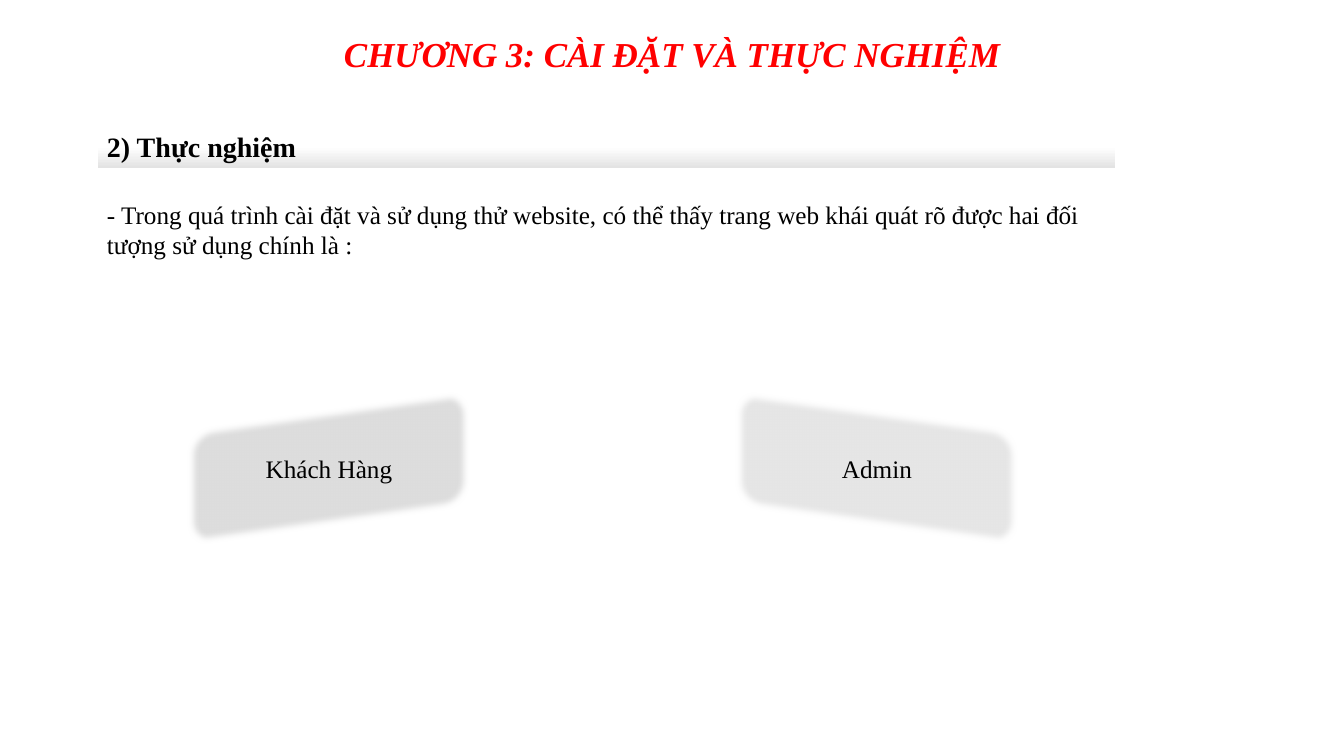
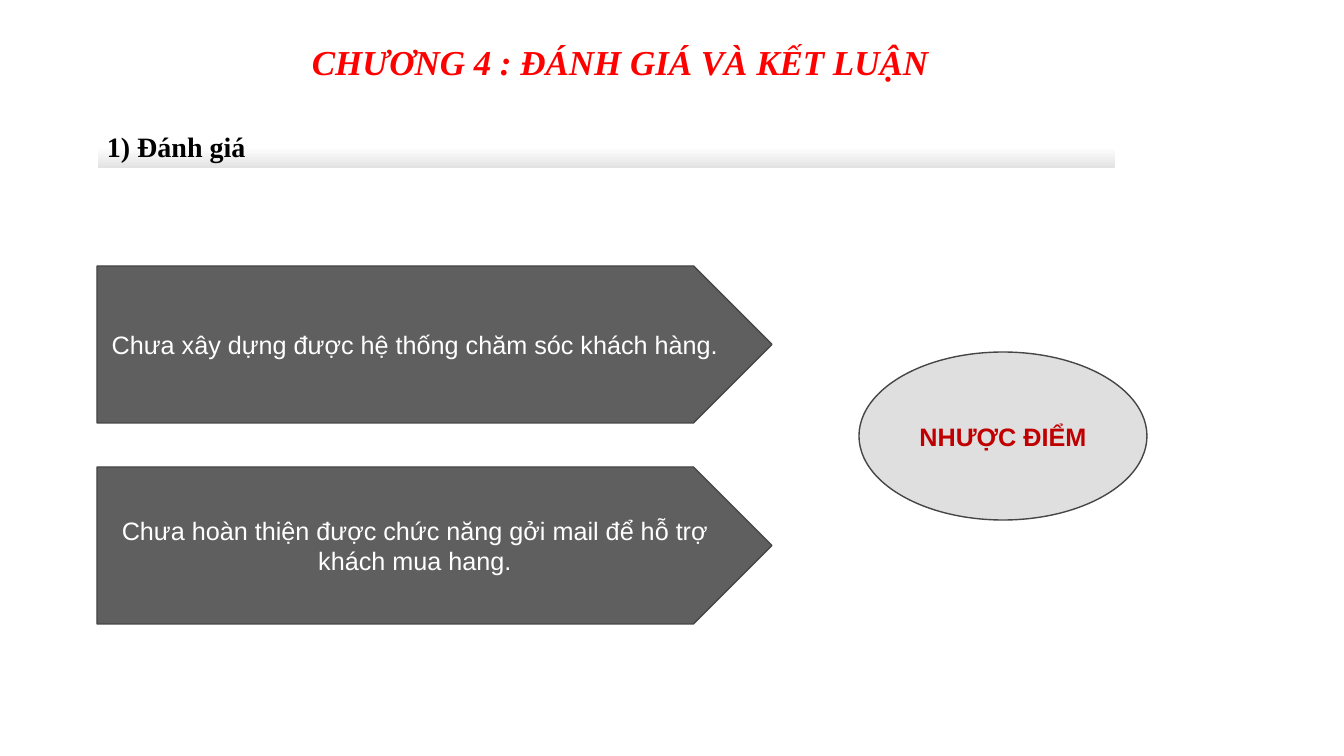
import math

from lxml import etree
from pptx import Presentation
from pptx import util as u
from pptx.dml.color import RGBColor
from pptx.enum import shapes, text
from pptx.oxml import ns

SLIDE_WIDTH, SLIDE_HEIGHT = 1344, 756
EMU_PER_PX = 12192000 / SLIDE_WIDTH
SERIF, SANS = "Times New Roman", "Arial"
WHITE, BLACK, RED, DARK_RED = "FFFFFF", "000000", "FF0000", "C00000"
OUTLINE, ARROW_FILL, ELLIPSE_FILL, BAND_END = "464646", "5F5F5F", "DFDFDF", "E3E3E3"

HEADING_BOX = (97, 125, 1018, 43)
CENTER, LEFT = text.PP_ALIGN.CENTER, text.PP_ALIGN.LEFT
TOP, MIDDLE = text.MSO_ANCHOR.TOP, text.MSO_ANCHOR.MIDDLE


def px(length):
    return u.Emu(round(length * EMU_PER_PX))


def color(value):
    return RGBColor.from_string(value)


def write(shape, words, size=18, font=SERIF, ink=BLACK, bold=False, italic=False,
          align=CENTER, anchor=MIDDLE):
    frame = shape.text_frame
    frame.text = words
    frame.word_wrap = True
    frame.vertical_anchor = anchor
    para = frame.paragraphs[0]
    para.alignment = align
    style = para.runs[0].font
    style.name, style.size = font, u.Pt(size)
    style.bold, style.italic = bold, italic
    style.color.rgb = color(ink)


def add_text(page, box, words, **style):
    write(page.shapes.add_textbox(*map(px, box)), words, **style)


def add_figure(page, kind, box, fill, words, **style):
    figure = page.shapes.add_shape(kind, *map(px, box))
    figure.shadow.inherit = False
    figure.fill.solid()
    figure.fill.fore_color.rgb = color(fill)
    figure.line.color.rgb = color(OUTLINE)
    figure.line.width = u.Pt(1)
    write(figure, words, **style)


def add_title(page, box, words):
    add_text(page, box, words, size=25, ink=RED, bold=True, italic=True)


def add_heading(page, box, words):
    """Section heading on a band that fades from white to grey."""
    band = page.shapes.add_shape(shapes.MSO_SHAPE.RECTANGLE, *map(px, box))
    band.shadow.inherit = False
    band.fill.gradient()
    band.fill.gradient_angle = 270
    for stop, position, shade in zip(band.fill.gradient_stops, (0.5, 1), (WHITE, BAND_END)):
        stop.position = position
        stop.color.rgb = color(shade)
    band.line.color.rgb = color(WHITE)
    band.line.width = u.Pt(0.5)
    write(band, words, size=20, bold=True, align=LEFT, anchor=TOP)


def slanted_outline(box, rise, radius):
    """Points of a rounded rectangle sheared so its right side is higher by rise."""
    left, top, width, height = box
    half_width = width / 2
    half_height = (height - abs(rise)) / 2
    points = []
    for start, side_x, side_y in ((0, 1, 1), (90, -1, 1), (180, -1, -1), (270, 1, -1)):
        for degrees in range(start, start + 91, 10):
            angle = math.radians(degrees)
            x = side_x * (half_width - radius) + radius * math.cos(angle)
            y = side_y * (half_height - radius) + radius * math.sin(angle)
            y -= rise * x / width
            points.append((px(left + half_width + x), px(top + height / 2 + y)))
    return points


def add_slanted_card(page, box, rise, fill, words):
    """Slanted card with soft edges."""
    points = slanted_outline(box, rise, radius=20)
    builder = page.shapes.build_freeform(*points[0], scale=1.0)
    builder.add_line_segments(points[1:], close=True)
    card = builder.convert_to_shape()
    card.shadow.inherit = False
    effects = card.element.spPr.find(ns.qn("a:effectLst"))
    etree.SubElement(effects, ns.qn("a:softEdge"), rad=str(u.Pt(5)))
    card.fill.solid()
    card.fill.fore_color.rgb = color(fill)
    card.line.fill.background()
    write(card, words)


def add_user_cards(page, box):
    left, top, width, height = box
    card_width = 282
    cards = (("Khách Hàng", 40, "DDDDDD"), ("Admin", -40, "E6E6E6"))
    for index, (words, rise, fill) in enumerate(cards):
        card_left = left + index * (width - card_width)
        add_slanted_card(page, (card_left, top, card_width, height), rise, fill, words)


def add_weaknesses(page, box):
    left, top, width, height = box
    arrow_width, arrow_height = 675, 157
    ellipse_width, ellipse_height = 288, 168
    weaknesses = ("Chưa xây dựng được hệ thống chăm sóc khách hàng.",
                  "Chưa hoàn thiện được chức năng gởi mail để hỗ trợ khách mua hang.")
    for index, words in enumerate(weaknesses):
        arrow_top = top + index * (height - arrow_height)
        add_figure(page, shapes.MSO_SHAPE.PENTAGON,
                   (left, arrow_top, arrow_width, arrow_height),
                   ARROW_FILL, words, font=SANS, ink=WHITE)
    ellipse_box = (left + width - ellipse_width, top + 86, ellipse_width, ellipse_height)
    add_figure(page, shapes.MSO_SHAPE.OVAL, ellipse_box, ELLIPSE_FILL,
               "NHƯỢC ĐIỂM", font=SANS, ink=DARK_RED, bold=True)


def build_experiment(page):
    add_title(page, (272, 28, 800, 52), "CHƯƠNG 3: CÀI ĐẶT VÀ THỰC NGHIỆM")
    add_heading(page, HEADING_BOX, "2) Thực nghiệm")
    add_text(page, (97, 194, 1014, 71),
             "- Trong quá trình cài đặt và sử dụng thử website, có thể thấy trang web "
             "khái quát rõ được hai đối tượng sử dụng chính là :",
             align=LEFT, anchor=TOP)
    add_user_cards(page, (188, 389, 830, 158))


def build_evaluation(page):
    add_title(page, (137, 21, 966, 81), "CHƯƠNG 4 : ĐÁNH GIÁ VÀ KẾT LUẬN")
    add_heading(page, HEADING_BOX, "1) Đánh giá")
    add_weaknesses(page, (97, 266, 1050, 358))


def main():
    deck = Presentation()
    deck.slide_width, deck.slide_height = px(SLIDE_WIDTH), px(SLIDE_HEIGHT)
    blank = deck.slide_layouts[6]
    for build in (build_experiment, build_evaluation):
        build(deck.slides.add_slide(blank))
    deck.save("out.pptx")


if __name__ == "__main__":
    main()
